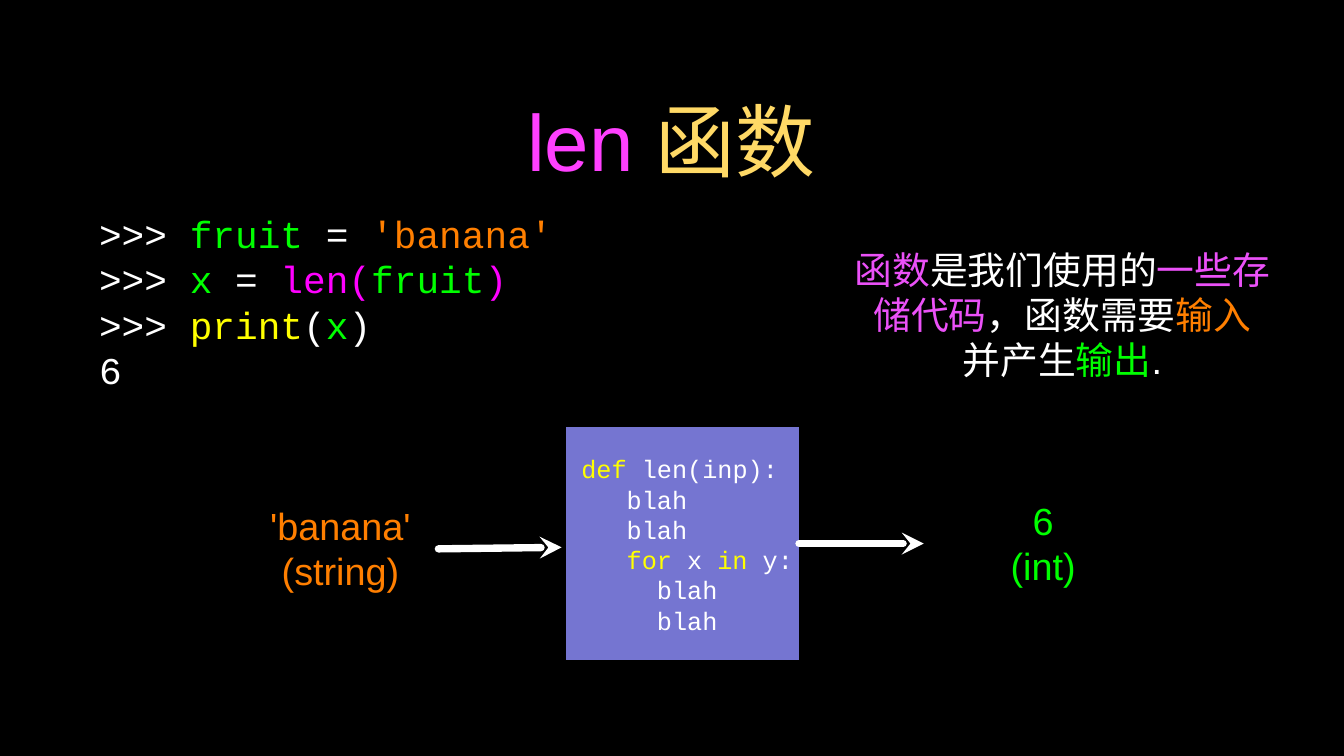
"""Build a slide that explains the len function with code and a flow diagram."""
import pptx
import pptx.dml.color
import pptx.enum.shapes
import pptx.enum.text
import pptx.oxml
import pptx.oxml.ns
import pptx.util

WIDTH, HEIGHT = pptx.util.Inches(17.78), pptx.util.Inches(10)
WHITE, GREEN, ORANGE, YELLOW = "FFFFFF", "00FF00", "FF7F00", "FFFF00"
PINK, MAGENTA, VIOLET, GOLD, BLUE = "FF40FF", "FF00FF", "EB51F8", "FFD966", "7575D1"
CENTER, LEFT = pptx.enum.text.PP_ALIGN.CENTER, pptx.enum.text.PP_ALIGN.LEFT

TITLE = [[("len ", PINK), ("函数", GOLD)]]
SESSION = [
    [(">>> ", WHITE), ("fruit ", GREEN), ("=", WHITE), (" 'banana'", ORANGE)],
    [(">>> ", WHITE), ("x ", GREEN), ("= ", WHITE), ("len(", MAGENTA),
     ("fruit", GREEN), (")", MAGENTA)],
    [(">>> ", WHITE), ("print", YELLOW), ("(", WHITE), ("x", GREEN), (")", WHITE)],
    [("6", WHITE)],
]
NOTE = [[("函数", VIOLET), ("是我们使用的", WHITE), ("一些存储代码", VIOLET),
         ("，函数需要", WHITE), ("输入", ORANGE), (" 并产生", WHITE),
         ("输出", GREEN), (".", WHITE)]]
BLAH = [("blah", WHITE)]
BODY = [
    [("def", YELLOW), (" len(inp):", WHITE)],
    BLAH,
    BLAH,
    [("for", YELLOW), (" x ", WHITE), ("in", YELLOW), (" y:", WHITE)],
    BLAH,
    BLAH,
]
BODY_INDENTS = [1, 4, 4, 4, 6, 6]
INPUT = [[("'banana'", ORANGE)], [("(string)", ORANGE)]]
OUTPUT = [[("6", GREEN)], [("(int)", GREEN)]]


def color(code):
    """Turn a hex string into a colour."""
    return pptx.dml.color.RGBColor.from_string(code)


def apply(target, values):
    """Set each named attribute on the target."""
    for name, value in values.items():
        setattr(target, name, value)


def place(left, top, width, height):
    """Turn percentages of the slide into lengths."""
    return [int(share * side / 100) for share, side in
            zip((left, top, width, height), (WIDTH, HEIGHT, WIDTH, HEIGHT))]


def add_text(shapes, area, lines, size=36, font="Arial", align=CENTER,
             inset=0, spacing=1.2, indents=None):
    """Add a text box of coloured spans, with indents counted in characters."""
    box = shapes.add_textbox(*place(*area))
    margins = {f"margin_{side}": pptx.util.Inches(inset)
               for side in ("left", "right", "top", "bottom")}
    apply(box.text_frame, {"word_wrap": True, **margins,
                           "vertical_anchor": pptx.enum.text.MSO_ANCHOR.MIDDLE})
    for index, line in enumerate(lines):
        para = box.text_frame.paragraphs[0] if index == 0 else box.text_frame.add_paragraph()
        para.alignment = align
        if spacing:
            para.line_spacing = pptx.util.Pt(size * spacing)
        if indents:
            indent = pptx.util.Pt(size * 0.6 * indents[index])
            para._p.get_or_add_pPr().set("marL", str(indent))
        for text, code in line:
            span = para.add_run()
            span.text = text
            apply(span.font, {"size": pptx.util.Pt(size), "name": font})
            span.font.color.rgb = color(code)
    return box


def add_function(page):
    """Add the function block with its code and return the block."""
    group = page.shapes.add_group_shape()
    block = group.shapes.add_shape(pptx.enum.shapes.MSO_SHAPE.RECTANGLE,
                                   *place(42.13, 56.5, 17.32, 30.8))
    block.shadow.inherit = False
    block.fill.solid()
    block.fill.fore_color.rgb = color(BLUE)
    block.line.fill.background()
    add_text(group.shapes, (42.13, 59.9, 17.32, 24.2), BODY, size=24,
             font="Courier New", align=LEFT, indents=BODY_INDENTS)
    return block


def add_arrow(page, start, end):
    """Add a thick white arrow between two points given in percent."""
    arrow = page.shapes.add_connector(pptx.enum.shapes.MSO_CONNECTOR.STRAIGHT,
                                      *place(*start, *end))
    arrow.line.color.rgb = color(WHITE)
    arrow.line.width = pptx.util.Pt(7)
    outline = arrow.line._get_or_add_ln()
    outline.set("cap", "rnd")
    namespace = pptx.oxml.ns.nsdecls("a")
    outline.append(pptx.oxml.parse_xml(f'<a:tailEnd {namespace} type="stealth"/>'))
    arrow._element.spPr.append(pptx.oxml.parse_xml(f"<a:effectLst {namespace}/>"))
    return arrow


def main():
    """Build and save the deck."""
    deck = pptx.Presentation()
    apply(deck, {"slide_width": WIDTH, "slide_height": HEIGHT})
    page = deck.slides.add_slide(deck.slide_layouts[6])
    page.background.fill.solid()
    page.background.fill.fore_color.rgb = color("000000")

    add_text(page.shapes, (7.09, 9.1, 85.71, 18.7), TITLE, size=76,
             inset=0.04, spacing=None)
    block = add_function(page)
    add_arrow(page, (32.62, 72.6), (41.79, 72.4))
    add_text(page.shapes, (19.74, 66.7, 11.19, 11.5), INPUT)
    add_text(page.shapes, (70.36, 66.1, 14.51, 11.5), OUTPUT)
    add_arrow(page, (59.45, 71.9), (68.73, 71.9)).begin_connect(block, 3)
    add_text(page.shapes, (63.27, 31.1, 31.55, 21), NOTE)
    add_text(page.shapes, (7.37, 27.9, 34.7, 23.9), SESSION,
             font="Courier New", align=LEFT)
    deck.save("out.pptx")


if __name__ == "__main__":
    main()
